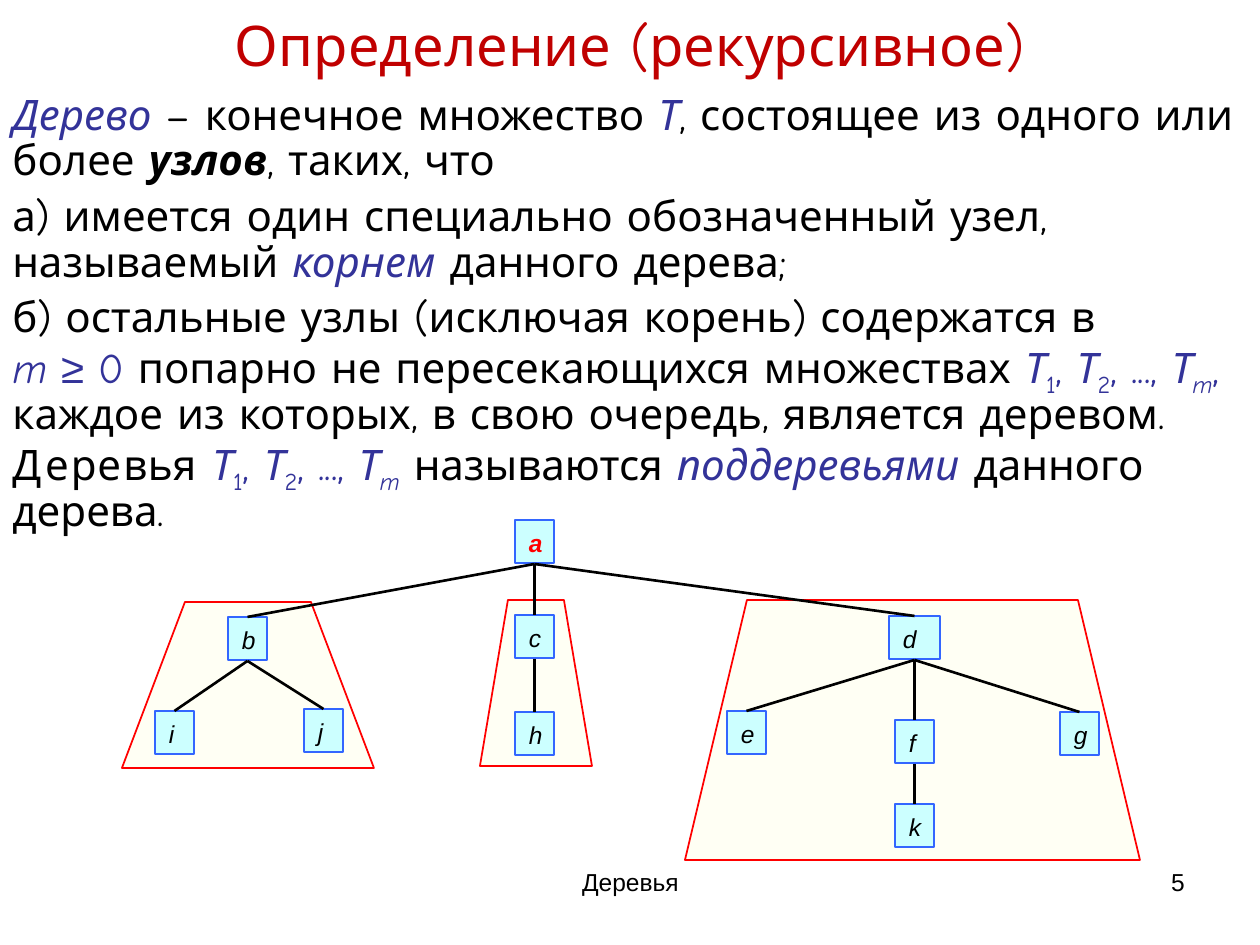
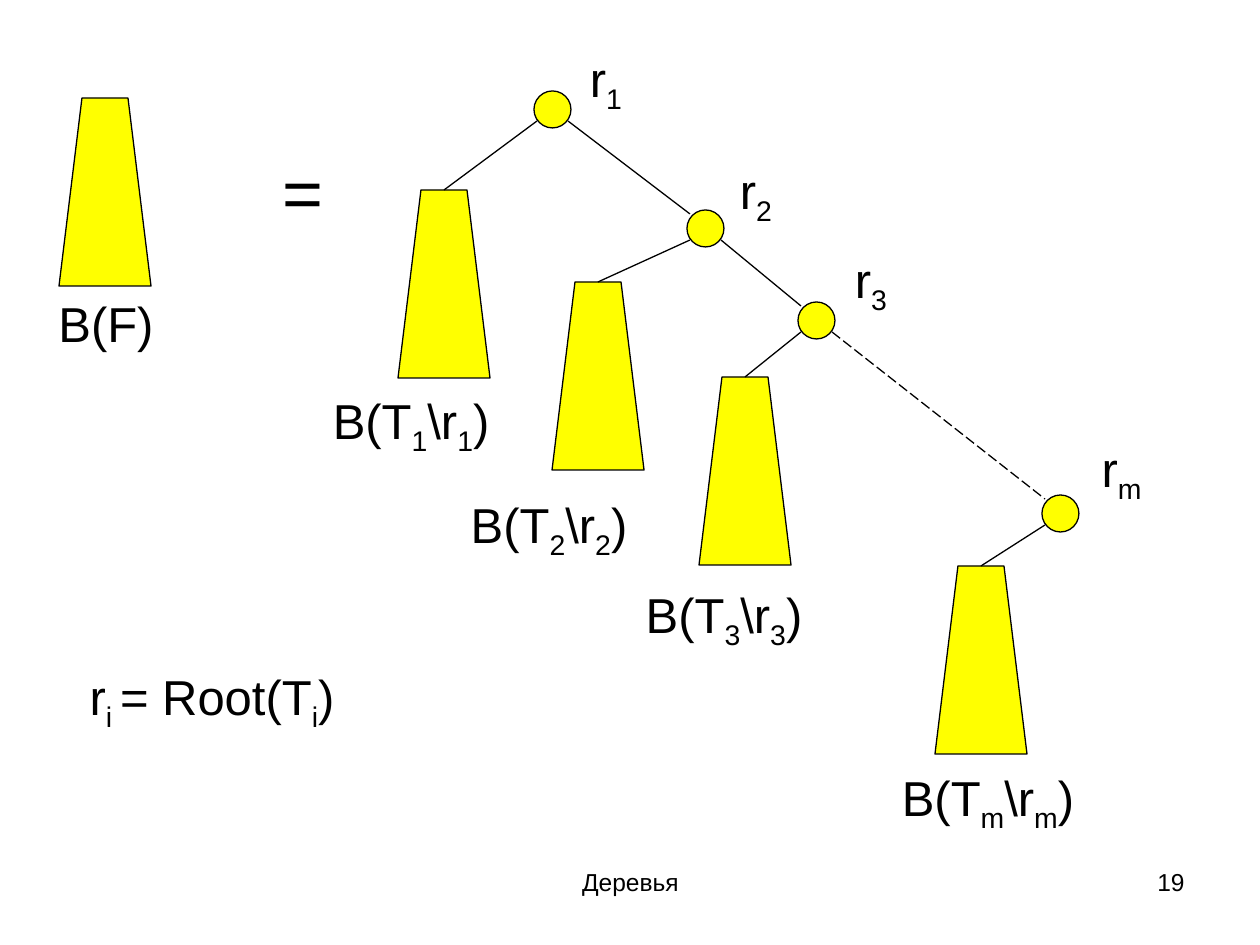
from lxml import etree
from pptx import Presentation
from pptx.dml.color import RGBColor
from pptx.enum.dml import MSO_LINE_DASH_STYLE as Dash
from pptx.enum.shapes import MSO_CONNECTOR as Connector, MSO_SHAPE as Shape
from pptx.enum.text import MSO_ANCHOR as Anchor, PP_ALIGN as Align
from pptx.oxml.ns import qn
from pptx.util import Pt

PX = 914400 / 126
NBSP = chr(160)

BLACK = RGBColor(0x00, 0x00, 0x00)
RED = RGBColor(0xFF, 0x00, 0x00)
TITLE_RED = RGBColor(0xC0, 0x00, 0x00)
TERM_BLUE = RGBColor(0x33, 0x33, 0x99)
NODE_FILL = RGBColor(0xCC, 0xFF, 0xFF)
NODE_LINE = RGBColor(0x33, 0x66, 0xFF)
CREAM = RGBColor(0xFF, 0xFF, 0x99)
YELLOW = RGBColor(0xFF, 0xFF, 0x00)

HEADING_FONT = "Comic Neue"
LABEL_FONT = "Arial"


def write(paragraph, parts, size, font=LABEL_FONT, color=BLACK, align=Align.LEFT):
    """Add (text, marks) runs; marks: b bold, i italic, t blue term, a Arial, s subscript.

    A tilde in the text stands for a non-breaking space.
    """
    paragraph.alignment = align
    for text, marks in parts:
        run = paragraph.add_run()
        run.text = text.replace("~", NBSP)
        run.font.size = Pt(size)
        run.font.name = LABEL_FONT if "a" in marks else font
        run.font.color.rgb = TERM_BLUE if "t" in marks else color
        run.font.bold = "b" in marks
        run.font.italic = "i" in marks
        if "s" in marks:
            run.font._element.set("baseline", "-25000")


def connect(slide, start, end, weight):
    ends = [round(value * PX) for value in (*start, *end)]
    edge = slide.shapes.add_connector(Connector.STRAIGHT, *ends)
    edge.line.color.rgb = BLACK
    edge.line.width = Pt(weight)
    etree.SubElement(edge._element.spPr, qn("a:effectLst"))
    return edge


prs = Presentation()
prs.slide_width = round(1260 * PX)
prs.slide_height = round(945 * PX)
blank = prs.slide_layouts[6]
definition = prs.slides.add_slide(blank)
forest = prs.slides.add_slide(blank)

# Text boxes: slide, left, top, width, height, parts, size, alignment
labels = []
for slide, number in ((definition, "5"), (forest, "19")):
    labels.append((slide, 431, 861, 399, 66, [("Деревья", "")], 14, Align.CENTER))
    labels.append((slide, 903, 861, 294, 66, [(number, "")], 14, Align.RIGHT))

# Subtree outlines of both slides
TREE_WIDTH, TREE_HEIGHT, TREE_INSET = 92, 188, 23
forest_trees = [(398, 190), (552, 282), (699, 377), (935, 566)]
outlines = [
    (definition, 480, 600, 112, 166, 28),
    (definition, 685, 600, 455, 260, 62),
    (definition, 122, 602, 252, 166, 63),
]
for left, top in [(59, 98)] + forest_trees:
    outlines.append((forest, left, top, TREE_WIDTH, TREE_HEIGHT, TREE_INSET))

for slide, left, top, width, height, inset in outlines:
    right, bottom = left + width, top + height
    builder = slide.shapes.build_freeform(left + inset, top, scale=PX)
    builder.add_line_segments(
        [(right - inset, top), (right, bottom), (left, bottom)], close=True)
    subtree = builder.convert_to_shape()
    subtree.shadow.inherit = False
    subtree.fill.solid()
    if slide is definition:
        subtree.fill.fore_color.rgb = CREAM
        tint = subtree._element.spPr.find(qn("a:solidFill"))[0]
        etree.SubElement(tint, qn("a:alpha")).set("val", "10000")
        subtree.line.color.rgb = RED
        subtree.line.width = Pt(1)
    else:
        subtree.fill.fore_color.rgb = YELLOW
        subtree.line.color.rgb = BLACK
        subtree.line.width = Pt(0.75)

# Slide 1: recursive definition
title = definition.shapes.add_textbox(*[round(v * PX) for v in (63, 16, 1134, 57)])
title.text_frame.word_wrap = True
title.text_frame.vertical_anchor = Anchor.MIDDLE
write(title.text_frame.paragraphs[0], [("Определение (рекурсивное)", "")],
      32, HEADING_FONT, TITLE_RED, Align.CENTER)

subtree_list = [
    ("Т", "it"), ("1", "ts"), (",~", "t"), ("Т", "it"), ("2", "ts"),
    (",~...,~", "t"), ("Т", "it"), ("m", "its"),
]
statements = [
    [("Дерево", "it"), (" – конечное множество ", ""), ("Т", "it"),
     (",~состоящее из одного или более ", ""), ("узлов", "bi"),
     (", таких,~что", "")],
    [("а)~имеется один специально обозначенный узел, называемый ", ""),
     ("корнем ", "it"), ("данного дерева;", "")],
    [("б)~остальные узлы (исключая корень) содержатся в ", ""),
     ("m~", "it"), ("≥", "ta"), ("~0", "t"),
     ("~попарно не пересекающихся множествах ", ""), *subtree_list, (",", "t"),
     (" каждое из которых, в свою очередь, является деревом. Деревья ", ""),
     *subtree_list, (" называются ", ""), ("поддеревьями ", "it"),
     ("данного дерева.", "")],
]
body = definition.shapes.add_textbox(*[round(v * PX) for v in (0, 88, 1260, 442)])
body.text_frame.word_wrap = True
for index, statement in enumerate(statements):
    paragraph = body.text_frame.paragraphs[0]
    if index:
        paragraph = body.text_frame.add_paragraph()
        paragraph.space_before = Pt(6)
    paragraph.line_spacing = 0.9
    write(paragraph, statement, 24, HEADING_FONT)

NODE_WIDTH, NODE_HEIGHT = 39, 43
nodes = {
    "a": (515, 520), "b": (228, 617), "c": (515, 615), "d": (889, 616),
    "i": (155, 711), "j": (304, 709), "h": (515, 712), "e": (727, 711),
    "f": (895, 720), "g": (1060, 712), "k": (895, 804),
}
children = {"a": "bcd", "b": "ij", "c": "h", "d": "efg", "f": "k"}
node_widths = {name: 51 if name == "d" else NODE_WIDTH for name in nodes}

for name, (left, top) in nodes.items():
    bounds = [round(v * PX) for v in (left, top, node_widths[name], NODE_HEIGHT)]
    node = definition.shapes.add_shape(Shape.RECTANGLE, *bounds)
    node.shadow.inherit = False
    node.fill.solid()
    node.fill.fore_color.rgb = NODE_FILL
    node.line.color.rgb = NODE_LINE
    node.line.width = Pt(0.75)
    frame = node.text_frame
    frame.word_wrap = True
    frame.vertical_anchor = Anchor.TOP
    frame.margin_left = frame.margin_right = round(14 * PX)
    frame.margin_top = frame.margin_bottom = round(8 * PX)
    is_root = name == "a"
    write(frame.paragraphs[0], [(name, "bi" if is_root else "i")], 14,
          color=RED if is_root else BLACK)

for parent, names in children.items():
    left, top = nodes[parent]
    start = (left + node_widths[parent] / 2, top + NODE_HEIGHT + 1)
    for name in names:
        child_left, child_top = nodes[name]
        connect(definition, start, (child_left + node_widths[name] / 2, child_top), 1.5)

# Slide 2: binary tree of a forest
ROOT_SIZE = 37
roots = [(534, 91), (687, 210), (798, 302), (1042, 495)]
root_labels = [(575, 42, 62), (725, 154, 62), (840, 243, 62), (1081, 432, 81)]
tree_labels = [(306, 384), (444, 488), (619, 578), (883, 761)]

for index, (left, top) in enumerate(roots):
    bounds = [round(v * PX) for v in (left, top, ROOT_SIZE, ROOT_SIZE)]
    root = forest.shapes.add_shape(Shape.OVAL, *bounds)
    root.shadow.inherit = False
    root.fill.solid()
    root.fill.fore_color.rgb = YELLOW
    root.line.color.rgb = BLACK
    root.line.width = Pt(0.75)

    tree_left, tree_top = forest_trees[index]
    connect(forest, (left + 3, top + 30), (tree_left + TREE_WIDTH / 2, tree_top), 0.75)
    if index < len(roots) - 1:
        next_left, next_top = roots[index + 1]
        link = connect(forest, (left + 34, top + 30), (next_left + 3, next_top + 4), 0.75)
        if index == len(roots) - 2:
            link.line.dash_style = Dash.LONG_DASH

    subscript = ("123m"[index], "s")
    label_left, label_top, label_width = root_labels[index]
    labels.append((forest, label_left, label_top, label_width, 79,
                   [("r", ""), subscript], 28, Align.CENTER))
    labels.append((forest, *tree_labels[index], 210, 79,
                   [("B(T", ""), subscript, ("\\r", ""), subscript, (")", "")],
                   28, Align.CENTER))

labels += [
    (forest, 238, 142, 130, 97, [("=", "")], 40, Align.CENTER),
    (forest, 40, 287, 132, 72, [("B(F)", "")], 28, Align.CENTER),
    (forest, 54, 660, 316, 79,
     [("r", ""), ("i ", "s"), ("= Root(T", ""), ("i", "s"), (")", "")],
     28, Align.CENTER),
]
for slide, left, top, width, height, parts, size, align in labels:
    label = slide.shapes.add_textbox(*[round(v * PX) for v in (left, top, width, height)])
    label.text_frame.word_wrap = True
    write(label.text_frame.paragraphs[0], parts, size, align=align)

prs.save("out.pptx")
